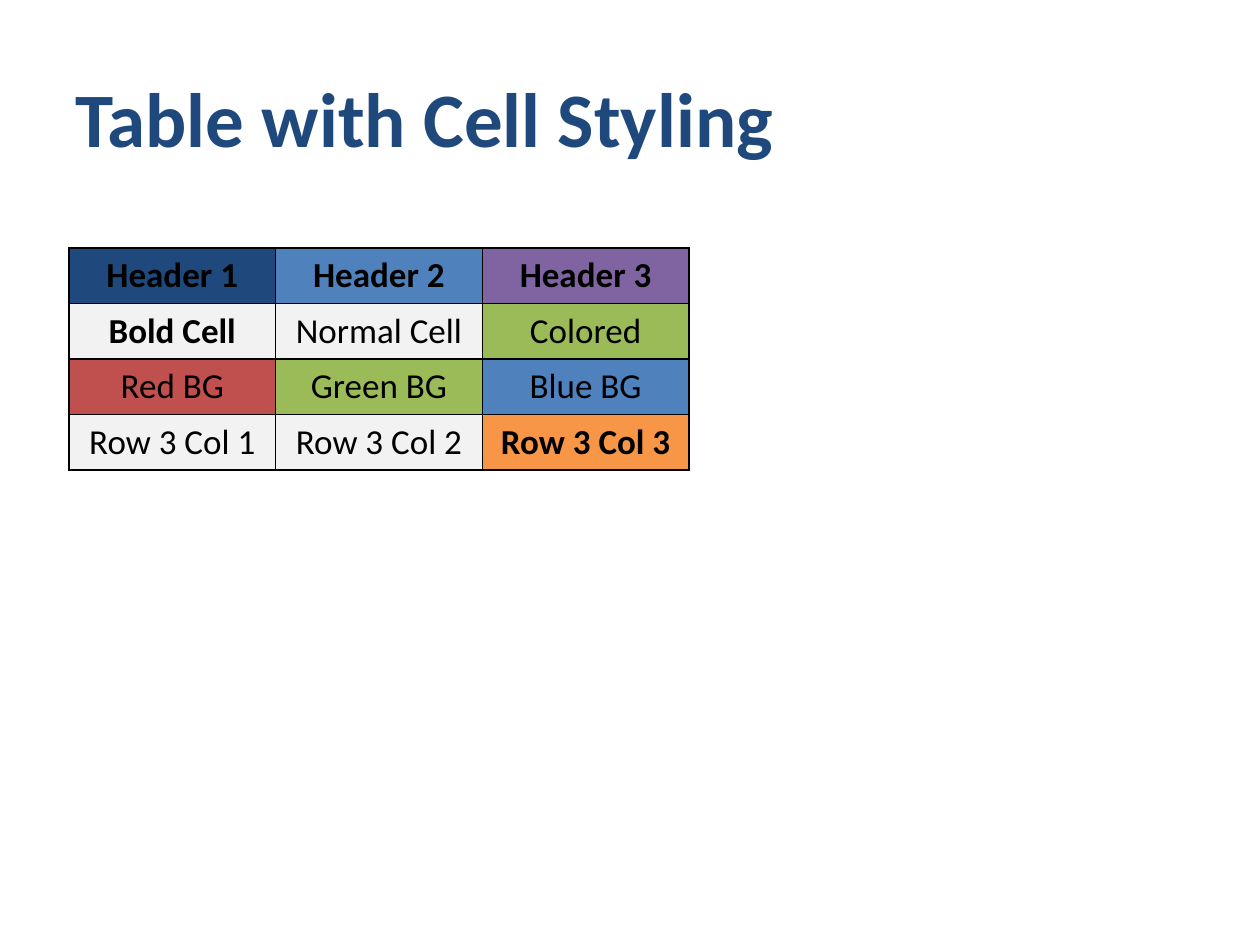
"""Build a slide with a title and a table of individually styled cells."""
import pptx
import pptx.dml.color
import pptx.enum.text
import pptx.oxml
import pptx.oxml.ns
import pptx.util

RGBColor = pptx.dml.color.RGBColor
NAVY = RGBColor(0x1F, 0x49, 0x7D)
BLUE = RGBColor(0x4F, 0x81, 0xBD)
PURPLE = RGBColor(0x80, 0x64, 0xA2)
GREEN = RGBColor(0x9B, 0xBB, 0x59)
RED = RGBColor(0xC0, 0x50, 0x4D)
ORANGE = RGBColor(0xF7, 0x96, 0x46)
LIGHT = RGBColor(0xF2, 0xF2, 0xF2)
BLACK = RGBColor(0, 0, 0)

ROWS = [
    [("Header 1", NAVY, True), ("Header 2", BLUE, True), ("Header 3", PURPLE, True)],
    [("Bold Cell", LIGHT, True), ("Normal Cell", LIGHT, False), ("Colored", GREEN, False)],
    [("Red BG", RED, False), ("Green BG", GREEN, False), ("Blue BG", BLUE, False)],
    [("Row 3 Col 1", LIGHT, False), ("Row 3 Col 2", LIGHT, False), ("Row 3 Col 3", ORANGE, True)],
]


def px(count):
    return pptx.util.Emu(count * 914400 // 126)


def write(paragraph, text, size, color, bold):
    paragraph.text = text
    paragraph.font.name = "Calibri"
    paragraph.font.size = pptx.util.Pt(size)
    paragraph.font.color.rgb = color
    paragraph.font.bold = bold


deck = pptx.Presentation()
deck.slide_width, deck.slide_height = px(1260), px(945)
slide = deck.slides.add_slide(deck.slide_layouts[6])

title = slide.shapes.add_textbox(px(63), px(38), px(1134), px(157)).text_frame
title.word_wrap = True
title.vertical_anchor = pptx.enum.text.MSO_ANCHOR.MIDDLE
write(title.paragraphs[0], "Table with Cell Styling", 44, NAVY, True)

grid = slide.shapes.add_table(len(ROWS), 3, px(69), px(248), px(620), px(222)).table
grid.first_row = False
grid.horz_banding = False
for row, entries in enumerate(ROWS):
    for column, (text, background, bold) in enumerate(entries):
        cell = grid.cell(row, column)
        cell.vertical_anchor = pptx.enum.text.MSO_ANCHOR.MIDDLE
        properties = cell._tc.get_or_add_tcPr()
        for side in "LRTB":
            properties.append(pptx.oxml.parse_xml(
                f'<a:ln{side} {pptx.oxml.ns.nsdecls("a")} w="12700"><a:solidFill>'
                f'<a:srgbClr val="{BLACK}"/></a:solidFill></a:ln{side}>'))
        cell.fill.solid()
        cell.fill.fore_color.rgb = background
        label = cell.text_frame.paragraphs[0]
        write(label, text, 20, BLACK, bold)
        label.alignment = pptx.enum.text.PP_ALIGN.CENTER

deck.save("out.pptx")
